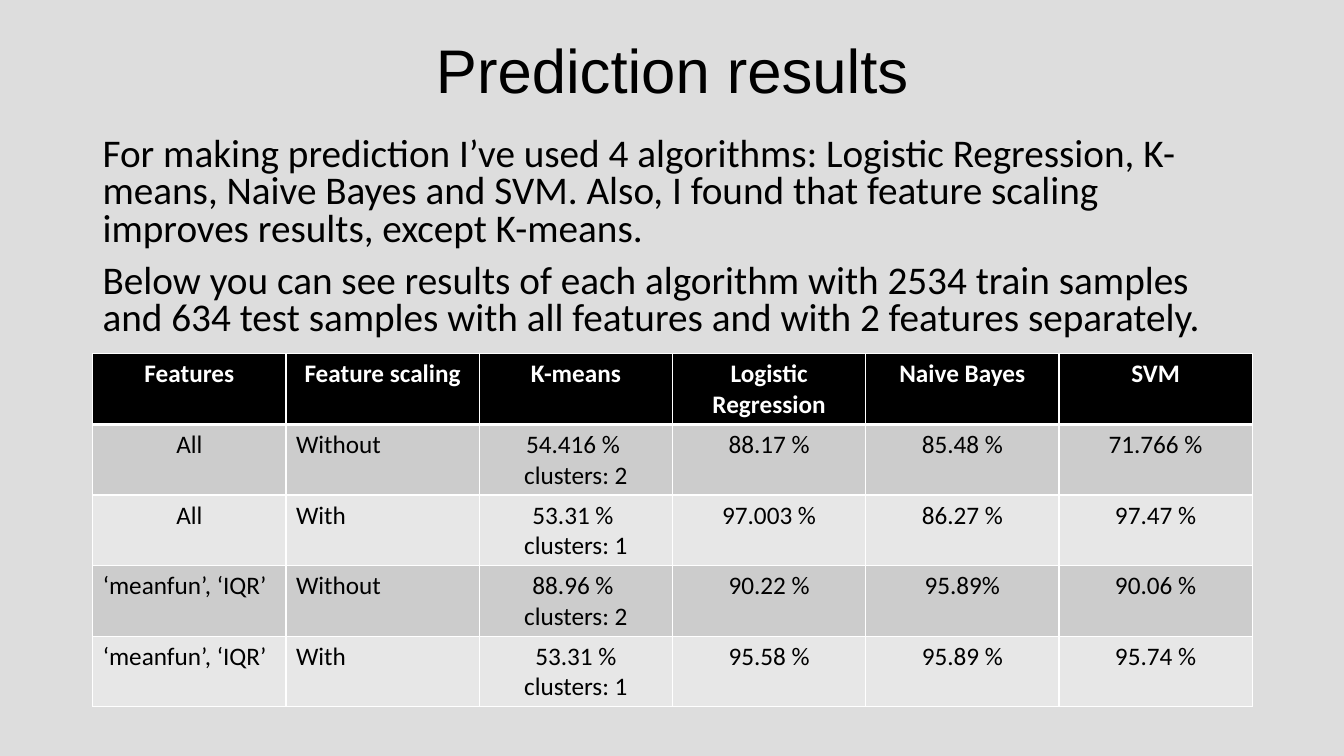
from lxml import etree
from pptx import Presentation
from pptx import util as u
from pptx.dml.color import RGBColor
from pptx.enum import text
from pptx.oxml import ns

COLORS = {
    "background": "DDDDDD",
    "ink": "000000",
    "white": "FFFFFF",
    "band_dark": "CCCCCC",
    "band_light": "E7E7E7",
}
LEFT, WIDTH = 0.92, 11.5
CENTER, START = text.PP_ALIGN.CENTER, text.PP_ALIGN.LEFT

HEADER = ["Features", "Feature scaling", "K-means", "Logistic Regression", "Naive Bayes", "SVM"]
RESULTS = [
    ["All", "Without", "54.416 % \nclusters: 2", "88.17 %", "85.48 %", "71.766 %"],
    ["All", "With", "53.31 % \nclusters: 1", "97.003 %", "86.27 %", "97.47 %"],
    ["‘meanfun’, ‘IQR’", "Without", "88.96 % \nclusters: 2", "90.22 %", "95.89%", "90.06 %"],
    ["‘meanfun’, ‘IQR’", "With", "53.31 %\nclusters: 1", "95.58 %", "95.89 %", "95.74 %"],
]
INTRO = (
    "For making prediction I’ve used 4 algorithms: Logistic Regression, K-means, "
    "Naive Bayes and SVM. Also, I found that feature scaling improves results, except K-means.\n"
    "Below you can see results of each algorithm with 2534 train samples and 634 test samples "
    "with all features and with 2 features separately."
)


def rgb(name):
    return RGBColor.from_string(COLORS[name])


def write_text(tf, content, size=18, font="Calibri", color="ink", bold=False,
               align=START, line=None, before=None):
    """Fill a text frame, one paragraph for each line of content."""
    for i, line_text in enumerate(content.split("\n")):
        p = tf.add_paragraph() if i else tf.paragraphs[0]
        p.alignment = align
        if line is not None:
            p.line_spacing = line
        if before is not None:
            p.space_before = u.Pt(before)
        r = p.add_run()
        r.text = line_text
        r.font.size = u.Pt(size)
        r.font.name = font
        r.font.bold = bold
        r.font.color.rgb = rgb(color)


def set_borders(cell, color, widths):
    """Draw cell borders; widths maps the sides L, R, T, B to points."""
    tc_pr = cell._tc.get_or_add_tcPr()
    for i, side in enumerate("LRTB"):
        ln = etree.Element(ns.qn(f"a:ln{side}"), w=str(u.Pt(widths[side])))
        fill = etree.SubElement(ln, ns.qn("a:solidFill"))
        etree.SubElement(fill, ns.qn("a:srgbClr"), val=COLORS[color])
        tc_pr.insert(i, ln)


class SlideBuilder:
    """Holds the shared style and the current slide."""

    def __init__(self, prs):
        self.slide = prs.slides.add_slide(prs.slide_layouts[6])
        fill = self.slide.background.fill
        fill.solid()
        fill.fore_color.rgb = rgb("background")

    def textbox(self, top, height, content, anchor=text.MSO_ANCHOR.TOP, **style):
        sp = self.slide.shapes.add_textbox(
            u.Inches(LEFT), u.Inches(top), u.Inches(WIDTH), u.Inches(height))
        tf = sp.text_frame
        tf.word_wrap = True
        tf.vertical_anchor = anchor
        write_text(tf, content, **style)

    def table(self, top, row_height, header, rows):
        table = self.slide.shapes.add_table(
            len(rows) + 1, len(header), u.Inches(LEFT), u.Inches(top),
            u.Inches(WIDTH), u.Inches(row_height * (len(rows) + 1))).table
        for i, values in enumerate([header] + rows):
            for j, value in enumerate(values):
                self.cell(table.cell(i, j), value, i, j)

    def cell(self, cell, value, row, col):
        is_header = row == 0
        if is_header:
            band = "ink"
        else:
            band = "band_dark" if row % 2 else "band_light"
        is_label = not is_header and (col == 1 or value.startswith("‘"))
        cell.fill.solid()
        cell.fill.fore_color.rgb = rgb(band)
        set_borders(cell, "white", {"L": 1, "R": 1,
                                    "T": 3 if row == 1 else 1,
                                    "B": 3 if is_header else 1})
        write_text(cell.text_frame, value, bold=is_header,
                   color="white" if is_header else "ink",
                   align=START if is_label else CENTER)


def main():
    prs = Presentation()
    prs.slide_width, prs.slide_height = u.Inches(13.33), u.Inches(7.5)
    s = SlideBuilder(prs)
    s.textbox(0, 1.45, "Prediction results", anchor=text.MSO_ANCHOR.MIDDLE,
              size=44, font="Arial", align=CENTER, line=0.9)
    s.textbox(1.31, 2.21, INTRO, size=28, line=0.8, before=10)
    s.table(3.51, 0.7, HEADER, RESULTS)
    prs.save("out.pptx")


if __name__ == "__main__":
    main()
